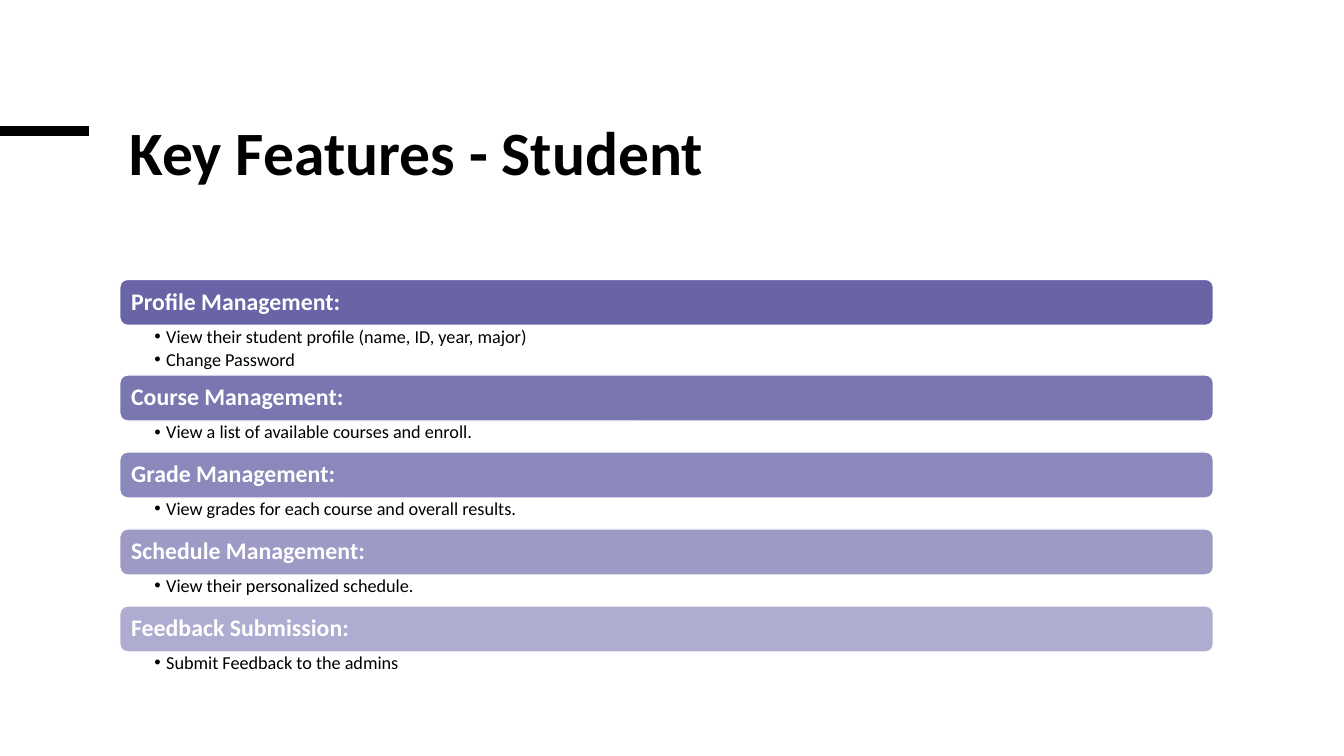
from lxml.etree import SubElement
from pptx import Presentation
from pptx.dml.color import RGBColor as Rgb
from pptx.enum.shapes import MSO_CONNECTOR as Wire, MSO_SHAPE as Shape
from pptx.enum.text import MSO_ANCHOR as Anchor, MSO_AUTO_SIZE as Fit, PP_ALIGN as Align
from pptx.oxml.ns import qn
from pptx.util import Cm, Pt

TITLE = "Key Features - Student"
PARTS = [
    ("Profile Management:", "bar1",
     ["View their student profile (name, ID, year, major)", "Change Password"]),
    ("Course Management:", "bar2", ["View a list of available courses and enroll."]),
    ("Grade Management:", "bar3", ["View grades for each course and overall results."]),
    ("Schedule Management:", "bar4", ["View their personalized schedule."]),
    ("Feedback Submission:", "bar5", ["Submit Feedback to the admins"]),
]
COLORS = {
    "black": "000000", "white": "FFFFFF",
    "bar1": "6864A5", "bar2": "7A76B0", "bar3": "8B88BB",
    "bar4": "9D9AC5", "bar5": "AEACD0",
}
LEFT, WIDTH = 3.02, 27.56
TOP, BAR = 7.04, 1.16
FIRST, MORE = 0.78, 0.47


def color(name):
    return Rgb.from_string(COLORS[name])


def setup(frame, left, top, right, bottom, anchor):
    frame.word_wrap = True
    frame.auto_size = Fit.NONE
    frame.vertical_anchor = anchor
    frame.margin_left, frame.margin_top = Cm(left), Cm(top)
    frame.margin_right, frame.margin_bottom = Cm(right), Cm(bottom)


def style(para, size, ink, bold=False, space=0.9):
    para.alignment = Align.LEFT
    para.line_spacing = space
    font = para.font
    font.name, font.size, font.bold = "Calibri", Pt(size), bold
    font.color.rgb = color(ink)


def bullet(para):
    para.level = 1
    props = para._p.get_or_add_pPr()
    props.set("marL", str(Cm(0.3)))
    props.set("indent", str(-Cm(0.3)))
    SubElement(props, qn("a:buFont"), typeface="Arial")
    SubElement(props, qn("a:buChar"), char="•")


def add_bar(slide, top, text, fill):
    bar = slide.shapes.add_shape(
        Shape.ROUNDED_RECTANGLE, Cm(LEFT), Cm(top), Cm(WIDTH), Cm(BAR))
    bar.shadow.inherit = False
    bar.fill.solid()
    bar.fill.fore_color.rgb = color(fill)
    bar.line.color.rgb = color("white")
    bar.line.width = Pt(1)
    frame = bar.text_frame
    setup(frame, 0.23, 0.18, 0.23, 0.18, Anchor.MIDDLE)
    frame.text = text
    style(frame.paragraphs[0], 17, "white", True)


def add_list(slide, top, high, items):
    box = slide.shapes.add_textbox(Cm(LEFT), Cm(top), Cm(WIDTH), Cm(high))
    frame = box.text_frame
    setup(frame, 0.87, 0.05, 0.33, 0.05, Anchor.TOP)
    frame.text = "\n".join(items)
    for para in frame.paragraphs:
        bullet(para)
        style(para, 13, "black")
        para.space_after = Pt(2.6)


def main():
    deck = Presentation()
    deck.slide_width, deck.slide_height = Cm(33.87), Cm(19.05)
    slide = deck.slides.add_slide(deck.slide_layouts[5])

    title = slide.shapes.title
    title.left, title.top = Cm(LEFT), Cm(3.02)
    title.width, title.height = Cm(WIDTH), Cm(3.6)
    setup(title.text_frame, 0.25, 0.13, 0.25, 0.13, Anchor.TOP)
    title.text_frame.text = TITLE
    style(title.text_frame.paragraphs[0], 44, "black", True, 0.85)

    dash = slide.shapes.add_connector(
        Wire.STRAIGHT, Cm(0), Cm(3.3), Cm(2.25), Cm(3.3))
    dash.line.color.rgb = color("black")
    dash.line.width = Pt(6.75)
    SubElement(dash._element.spPr, qn("a:effectLst"))

    top = TOP
    for head, fill, items in PARTS:
        high = FIRST + MORE * (len(items) - 1)
        add_bar(slide, top, head, fill)
        add_list(slide, top + BAR, high, items)
        top += BAR + high

    deck.save("out.pptx")


if __name__ == "__main__":
    main()
